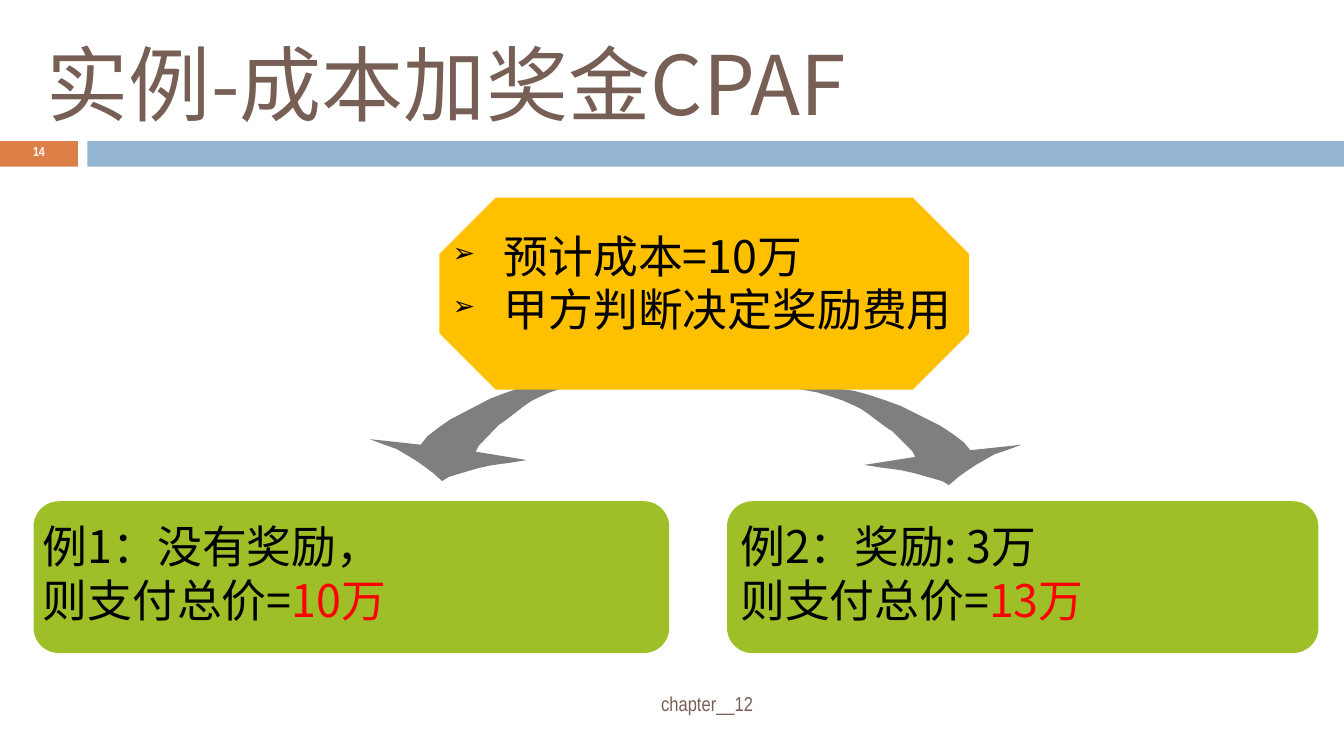
from lxml.etree import SubElement
from pptx import Presentation
from pptx.dml.color import RGBColor
from pptx.enum.shapes import MSO_SHAPE
from pptx.enum.text import MSO_ANCHOR, PP_ALIGN
from pptx.oxml.ns import qn
from pptx.util import Inches, Pt

BROWN = RGBColor(0x77, 0x5F, 0x55)
ORANGE = RGBColor(0xDD, 0x80, 0x47)
BLUE = RGBColor(0x94, 0xB6, 0xD2)
GRAY = RGBColor(0x7F, 0x7F, 0x7F)
GOLD = RGBColor(0xFF, 0xC0, 0x00)
GREEN = RGBColor(0x9E, 0xBF, 0x27)
BLACK = RGBColor(0, 0, 0)
RED = RGBColor(0xFF, 0, 0)
WHITE = RGBColor(0xFF, 0xFF, 0xFF)

SC = "Noto Sans CJK SC"
JP = "Noto Sans CJK JP"
NARROW = "Arial Narrow"

BANDS = [
    (MSO_SHAPE.RECTANGLE, (0, 1.05, 0.58, 0.19), ORANGE, None),
    (MSO_SHAPE.RECTANGLE, (0.65, 1.05, 9.35, 0.19), BLUE, None),
]
PANELS = [
    (MSO_SHAPE.OCTAGON, (3.27, 1.47, 3.94, 1.43), GOLD, 0.293),
    (MSO_SHAPE.ROUNDED_RECTANGLE, (0.25, 3.73, 4.73, 1.13), GREEN, 0.167),
    (MSO_SHAPE.ROUNDED_RECTANGLE, (5.41, 3.73, 4.4, 1.13), GREEN, 0.167),
]

ARROW_OUTLINE = [
    (5.82, 2.88), (5.92, 2.87), (6.02, 2.87), (6.13, 2.88), (6.24, 2.89),
    (6.36, 2.91), (6.47, 2.94), (6.59, 2.98), (6.7, 3.02), (6.8, 3.07),
    (6.9, 3.12), (7, 3.17), (7.09, 3.23), (7.17, 3.29), (7.22, 3.35),
    (7.6, 3.31), (7.49, 3.35), (7.4, 3.38), (7.33, 3.42), (7.26, 3.46),
    (7.2, 3.5), (7.13, 3.55), (7.06, 3.61), (7.01, 3.58), (6.94, 3.56),
    (6.87, 3.54), (6.8, 3.52), (6.71, 3.5), (6.64, 3.49), (6.56, 3.48),
    (6.43, 3.46), (6.81, 3.4), (6.79, 3.36), (6.76, 3.33), (6.7, 3.27),
    (6.64, 3.21), (6.58, 3.17), (6.54, 3.14), (6.5, 3.11), (6.46, 3.08),
    (6.4, 3.04), (6.36, 3.02), (6.27, 2.98), (6.18, 2.95), (6.08, 2.92),
    (5.97, 2.9), (5.91, 2.89),
]
MIRROR_SUM = 10.35
RIGHT_TOP, LEFT_TOP = 2.87, 2.81
LEFT_STRETCH = 0.77 / 0.74

LABELS = [
    {"at": (0.25, 0.21, 8.92, 0.81), "anchor": MSO_ANCHOR.MIDDLE, "size": 44,
     "lines": [[("实例-成本加奖金CPAF", SC, BROWN)]]},
    {"at": (2.28, 5.1, 5.93, 0.3), "anchor": MSO_ANCHOR.MIDDLE, "size": 10.8,
     "format": {"alignment": PP_ALIGN.CENTER, "line_spacing": 0.8},
     "lines": [[(" chapter__12", NARROW, BROWN)]]},
    {"at": (0, 1.04, 0.58, 0.2), "anchor": MSO_ANCHOR.MIDDLE, "size": 7, "bold": True,
     "format": {"alignment": PP_ALIGN.CENTER, "line_spacing": 0.8},
     "lines": [[("14", NARROW, WHITE)]]},
    {"at": (5.41, 3.81, 4.59, 0.9), "size": 24,
     "lines": [[("例2：", JP, BLACK), ("奖励: 3万", SC, BLACK)],
               [("则支付总价=", JP, BLACK), ("13万", JP, RED)]]},
    {"at": (0.22, 3.81, 2.93, 0.9), "size": 24, "wrap": False,
     "lines": [[("例1：没有奖励，", JP, BLACK)],
               [("则支付总价=", JP, BLACK), ("10万", JP, RED)]]},
    {"at": (3.27, 1.65, 4.24, 0.9), "size": 24, "bullet": "➢",
     "lines": [[("预计成本=10万", SC, BLACK)],
               [("甲方判断决定奖励费用", SC, BLACK)]]},
]


def paint(shape, color):
    shape.shadow.inherit = False
    shape.fill.solid()
    shape.fill.fore_color.rgb = color
    shape.line.fill.background()


def add_panel(slide, kind, place, color, adjustment):
    shape = slide.shapes.add_shape(kind, *map(Inches, place))
    if adjustment is not None:
        shape.adjustments[0] = adjustment
    paint(shape, color)


def add_arrow(slide, points):
    points = [(Inches(x), Inches(y)) for x, y in points]
    builder = slide.shapes.build_freeform(*points[0])
    builder.add_line_segments(points[1:], close=True)
    paint(builder.convert_to_shape(), GRAY)


def add_bullet(paragraph, character):
    properties = paragraph._p.get_or_add_pPr()
    properties.set("marL", str(Inches(0.38)))
    properties.set("indent", str(Inches(-0.38)))
    color = SubElement(properties, qn("a:buClr"))
    SubElement(color, qn("a:srgbClr"), val=str(BLACK))
    SubElement(properties, qn("a:buSzPct"), val="60000")
    SubElement(properties, qn("a:buFont"), typeface=NARROW)
    SubElement(properties, qn("a:buChar"), char=character)


def add_label(slide, label):
    frame = slide.shapes.add_textbox(*map(Inches, label["at"])).text_frame
    frame.word_wrap = label.get("wrap", True)
    frame.vertical_anchor = label.get("anchor", MSO_ANCHOR.TOP)
    for index, line in enumerate(label["lines"]):
        paragraph = frame.add_paragraph() if index else frame.paragraphs[0]
        for name, value in label.get("format", {}).items():
            setattr(paragraph, name, value)
        if "bullet" in label:
            add_bullet(paragraph, label["bullet"])
        for text, typeface, color in line:
            run = paragraph.add_run()
            run.text = text
            values = {"size": Pt(label["size"]), "bold": label.get("bold", False), "name": typeface}
            for name, value in values.items():
                setattr(run.font, name, value)
            run.font.color.rgb = color
            SubElement(run._r.get_or_add_rPr(), qn("a:ea"), typeface=typeface)


def main():
    presentation = Presentation()
    presentation.slide_width = Inches(10)
    presentation.slide_height = Inches(10 * 9 / 16)
    slide = presentation.slides.add_slide(presentation.slide_layouts[6])
    for band in BANDS:
        add_panel(slide, *band)
    add_arrow(slide, ARROW_OUTLINE)
    add_arrow(slide, [(MIRROR_SUM - x, LEFT_TOP + (y - RIGHT_TOP) * LEFT_STRETCH)
                      for x, y in ARROW_OUTLINE])
    for panel in PANELS:
        add_panel(slide, *panel)
    for label in LABELS:
        add_label(slide, label)
    presentation.save("out.pptx")


if __name__ == "__main__":
    main()
